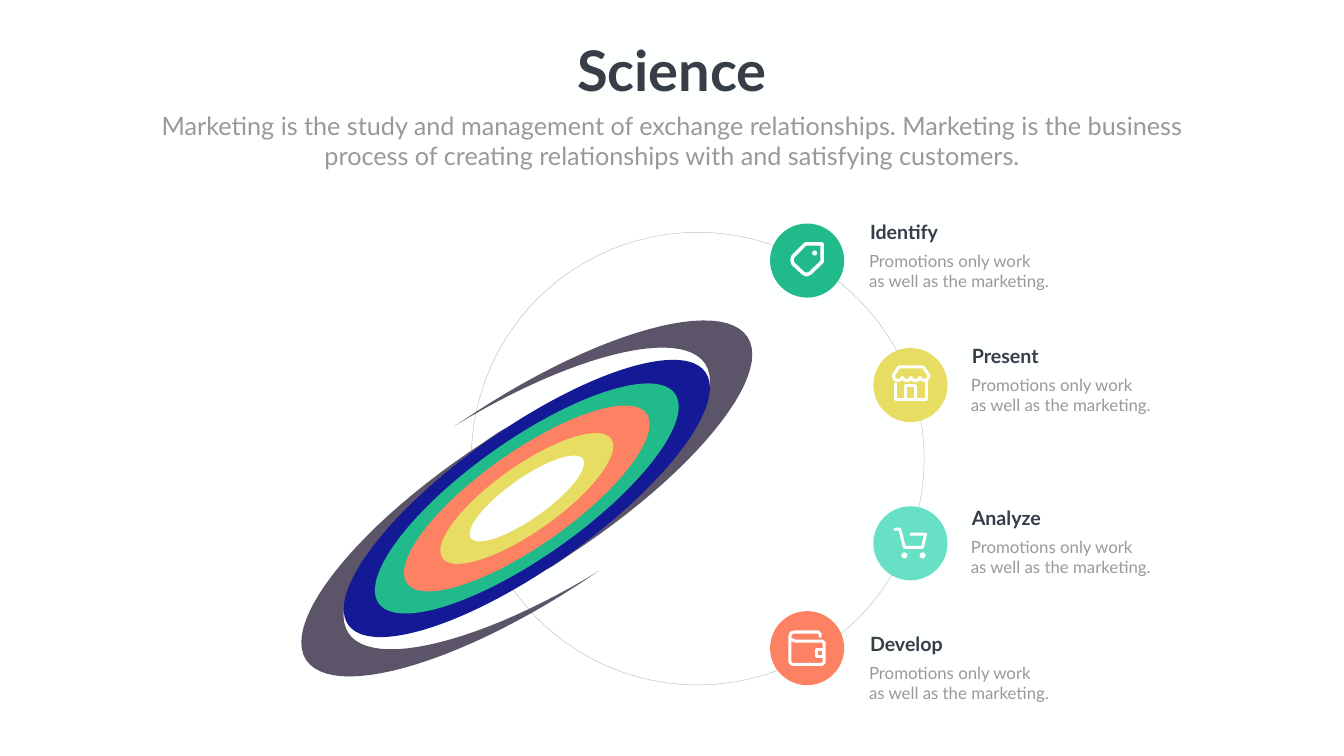
from lxml import etree
from pptx import Presentation
from pptx.dml.color import RGBColor
from pptx.enum.shapes import MSO_SHAPE
from pptx.enum.text import MSO_ANCHOR, MSO_AUTO_SIZE, PP_ALIGN
from pptx.oxml.ns import qn
from pptx.util import Emu, Pt

OVAL = MSO_SHAPE.OVAL
LEFT, MID = PP_ALIGN.LEFT, PP_ALIGN.CENTER
TOP = MSO_ANCHOR.TOP
FIXED = MSO_AUTO_SIZE.NONE

PX = 9144  # 100 px to the inch
WIDE, HIGH = 2666, 1500
HEX = {
    "paper": "FEFFFF", "ink": "363E48", "grey": "989998", "orbit": "808080",
    "white": "FFFFFF", "green": "21BB8B", "coral": "FD8264",
    "yellow": "E7DD62", "mint": "68E0C5", "navy": "141A96", "plum": "5C5469",
}
STYLES = {
    "title": {"size": Pt(80), "bold": True, "name": "Lato"},
    "lead": {"size": Pt(36), "bold": False, "name": "Lato"},
    "head": {"size": Pt(28), "bold": True, "name": "Lato"},
    "body": {"size": Pt(24), "bold": False, "name": "Lato"},
}
BODY = ["Promotions only work", "as well as the marketing."]

# Each icon lies around the middle of its disc:
# strokes are (width, closed, points), dots are (x, y, diameter).
TAG = {
    "strokes": [(7, True, [(-3, -33), (-28, -8), (-30, -1), (-28, 6), (-8, 25),
                           (-1, 28), (6, 25), (30, 2), (30, -33)])],
    "dots": [(15, -15, 10)],
}
SHOP = {
    "strokes": [
        (5, True, [(-10, 30), (-10, 1), (10, 1), (10, 30)]),
        (6, False, [(-29, -3), (-29, 29), (32, 29), (32, -9)]),
        (6, True, [(-34, -19), (-23, -36), (25, -36), (37, -19), (34, -12),
                   (28, -9), (23, -10), (19, -15), (15, -10), (10, -9),
                   (5, -10), (1, -15), (-2, -10), (-7, -9), (-12, -10),
                   (-16, -15), (-20, -10), (-26, -9), (-32, -12)]),
    ],
    "dots": [],
}
CART = {
    "strokes": [(6, False, [(-31, -28), (-21, -28), (-12, 8), (24, 8),
                            (30, -18), (1, -18)])],
    "dots": [(-12, 24, 12), (24, 24, 12)],
}
PURSE = {
    "strokes": [
        (5, True, [(19, 3), (33, 3), (33, 17), (19, 17)]),
        (6, False, [(26, -23), (26, -28), (22, -32), (-25, -32), (-32, -30),
                    (-34, -24), (-34, 28), (-30, 32), (30, 32), (34, 28),
                    (34, -10), (30, -14), (-24, -14), (-32, -18)]),
    ],
    "dots": [],
}
# Heading, colour, icon, disc middle, top left of the text
STEPS = [
    ("Identify", "green", TAG, (1601, 517), (1716, 431)),
    ("Present", "yellow", SHOP, (1806, 764), (1918, 677)),
    ("Analyze", "mint", CART, (1806, 1078), (1918, 998)),
    ("Develop", "coral", PURSE, (1601, 1286), (1716, 1248)),
]
# Colour, long and short diameter of each tilted band
BANDS = [("navy", 868, 277), ("green", 720, 230), ("coral", 582, 185),
         ("yellow", 410, 130), ("paper", 272, 80)]
TILT = -35.3
# Outline of one outer arm around the galaxy's middle: start, then curves
ARM = [
    (-102, -171),
    ((-116, -162), (-130, -152), (-143, -144)),
    ((88, -285), (306, -340), (354, -267)),
    ((402, -192), (264, -16), (41, 140)),
    ((56, 132), (70, 122), (83, 113)),
    ((330, -48), (488, -242), (438, -320)),
    ((386, -399), (145, -332), (-102, -171)),
]


def rgb(name):
    return RGBColor.from_string(HEX[name])


def emu(*nums):
    return [Emu(round(n * PX)) for n in nums]


def paint(shape, fill):
    shape.shadow.inherit = False
    shape.fill.solid()
    shape.fill.fore_color.rgb = rgb(fill)
    shape.line.fill.background()


def stroke(shape, color, width):
    """Leave the shape hollow and give it a round-ended line."""
    shape.shadow.inherit = False
    shape.fill.background()
    shape.line.color.rgb = rgb(color)
    shape.line.width = width
    shape.element.spPr.find(qn("a:ln")).set("cap", "rnd")


def oval(slide, x, y, wide, high):
    """Add an oval around its middle."""
    box = emu(x - wide / 2, y - high / 2, wide, high)
    return slide.shapes.add_shape(OVAL, *box)


def trace(slide, x, y, points, closed):
    dots = [emu(x + dx, y + dy) for dx, dy in points]
    pen = slide.shapes.build_freeform(*dots[0])
    pen.add_line_segments(dots[1:], close=closed)
    return pen.convert_to_shape()


def bend(start, curves, steps=24):
    """Turn cubic curves into a list of points."""
    points = [start]
    for one, two, end in curves:
        knots = (points[-1], one, two, end)
        for i in range(1, steps + 1):
            t = i / steps
            u = 1 - t
            parts = (u ** 3, 3 * u * u * t, 3 * u * t * t, t ** 3)
            points.append(tuple(sum(p * k[axis] for p, k in zip(parts, knots))
                                for axis in (0, 1)))
    return points


def write(shape, lines, style, color, align=LEFT, wrap=True):
    frame = shape.text_frame
    setup = {"word_wrap": wrap, "auto_size": FIXED, "vertical_anchor": TOP}
    for key, value in setup.items():
        setattr(frame, key, value)
    frame.text = "\n".join(lines)
    for para in frame.paragraphs:
        para.alignment = align
        for key, value in STYLES[style].items():
            setattr(para.font, key, value)
        para.font.color.rgb = rgb(color)


def header(slide, x, y, wide):
    title = slide.shapes.title
    spot = emu(x + wide / 2 - 202, y, 404, 145)
    for key, value in zip(("left", "top", "width", "height"), spot):
        setattr(title, key, value)
    write(title, ["Science"], "title", "ink", MID, False)
    lead = slide.shapes.add_textbox(*emu(x, y + 149, wide, 131))
    write(lead, ["Marketing is the study and management of exchange "
                 "relationships. Marketing is the business process of creating "
                 "relationships with and satisfying customers."],
          "lead", "grey", MID)


def orbit(slide, x, y, size):
    ring = oval(slide, x, y, size, size)
    stroke(ring, "orbit", Pt(0.65))
    tint = ring.element.spPr.find(qn("a:ln")).find(".//" + qn("a:srgbClr"))
    etree.SubElement(tint, qn("a:alpha")).set("val", "50000")


def badge(slide, x, y, color, icon):
    paint(oval(slide, x, y, 147, 147), color)
    for width, closed, points in icon["strokes"]:
        stroke(trace(slide, x, y, points, closed), "white", Emu(width * PX))
    for dx, dy, size in icon["dots"]:
        paint(oval(slide, x + dx, y + dy, size, size), "white")


def note(slide, x, y, head):
    box = slide.shapes.add_textbox(*emu(x, y, 261, 57))
    write(box, [head], "head", "ink")
    box = slide.shapes.add_textbox(*emu(x - 2, y + 61, 463, 91))
    write(box, BODY, "body", "grey")


def galaxy(slide, x, y):
    arm = bend(ARM[0], ARM[1:])
    for sign in (1, -1):
        points = [(sign * dx, sign * dy) for dx, dy in arm]
        paint(trace(slide, x, y, points, True), "plum")
    for color, wide, high in BANDS:
        band = oval(slide, x, y, wide, high)
        band.rotation = TILT
        paint(band, color)


def main():
    deck = Presentation()
    deck.slide_width, deck.slide_height = emu(WIDE, HIGH)
    slide = deck.slides.add_slide(deck.slide_layouts[5])
    slide.background.fill.solid()
    slide.background.fill.fore_color.rgb = rgb("paper")
    header(slide, 292, 65, 2082)
    orbit(slide, 1384, 910, 898)
    for head, color, icon, disc, text in STEPS:
        badge(slide, *disc, color, icon)
        note(slide, *text, head)
    galaxy(slide, 1045, 989)
    deck.save("out.pptx")


if __name__ == "__main__":
    main()
